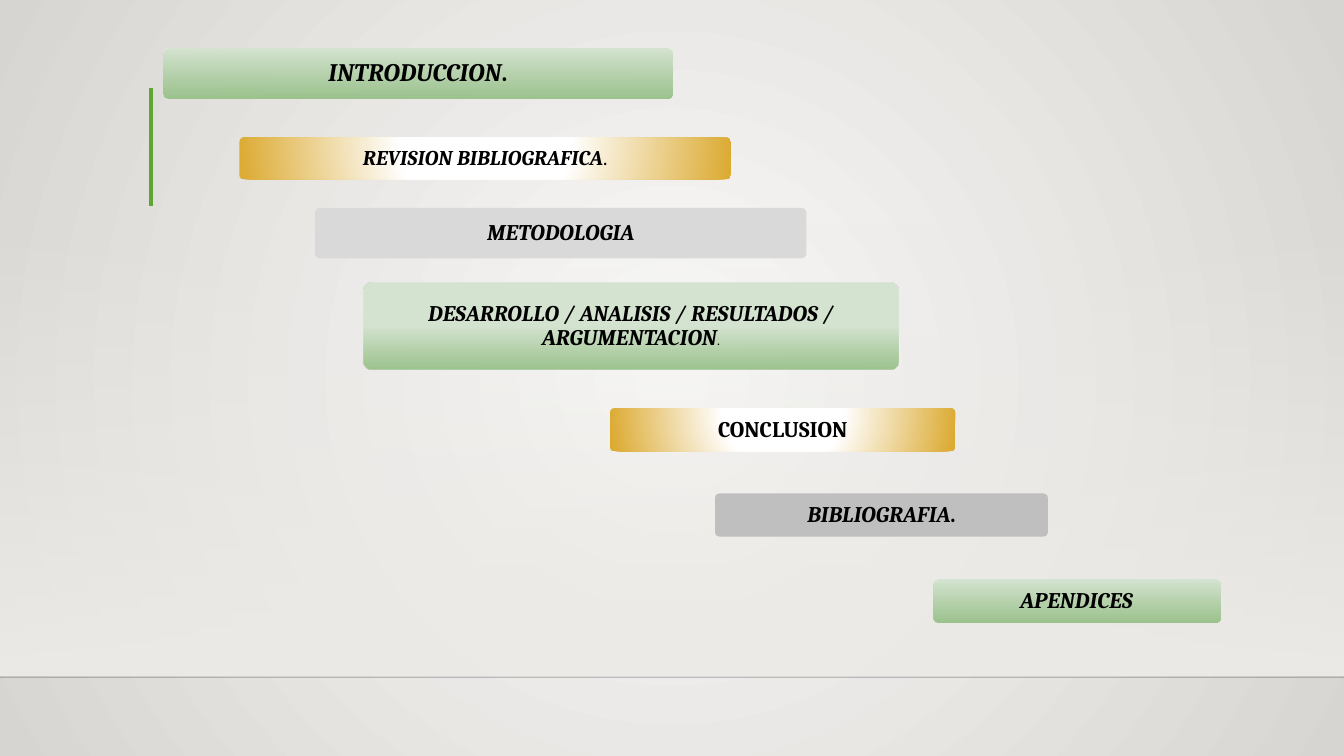
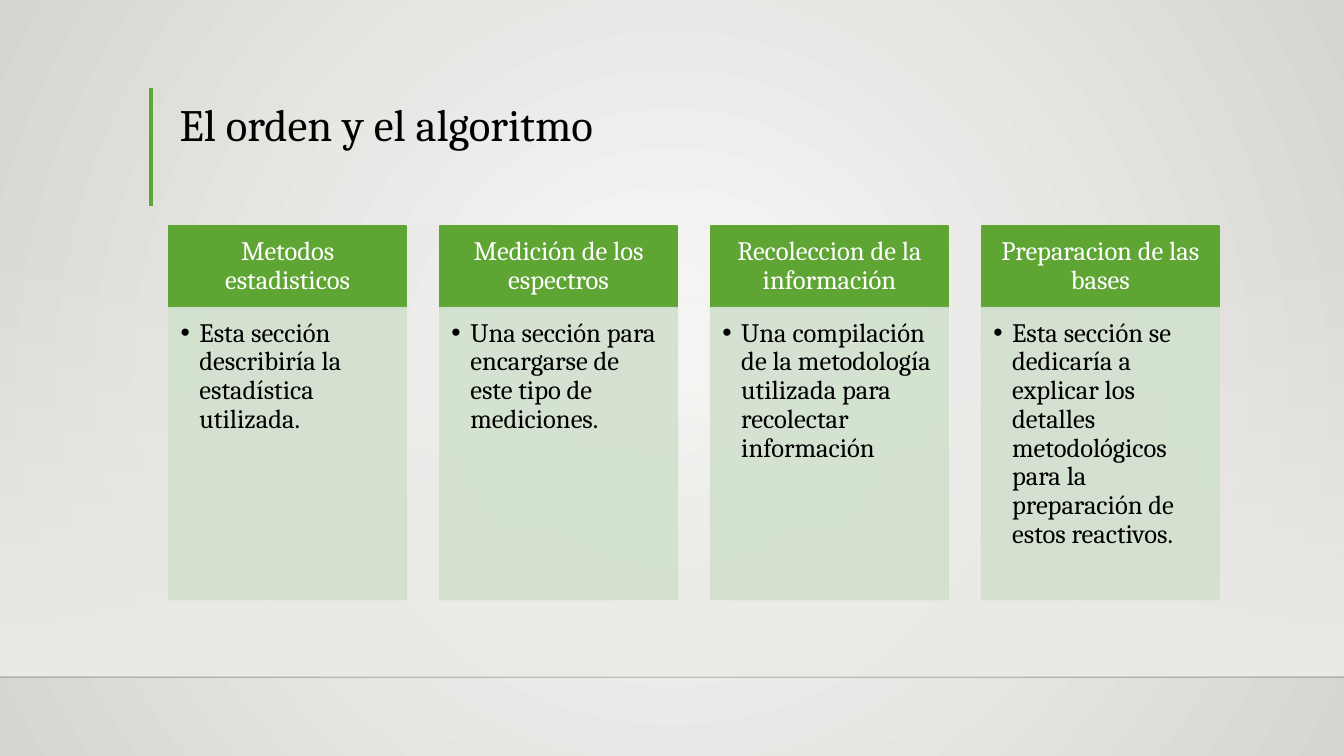
from lxml import etree
from pptx import Presentation
from pptx.dml.color import RGBColor
from pptx.enum.shapes import MSO_CONNECTOR, MSO_SHAPE
from pptx.enum.text import MSO_ANCHOR, MSO_AUTO_SIZE, PP_ALIGN
from pptx.oxml.ns import qn
from pptx.util import Pt

PX = 9525  # EMU per px, slide is 1280 x 720 px
WIDTH, HEIGHT = 1280, 720
FONT = "Cambria"
GREEN, PALE_GREEN, BLACK, WHITE = "5FA534", "D2E1CE", "000000", "FFFFFF"
RECT, ROUNDED = MSO_SHAPE.RECTANGLE, MSO_SHAPE.ROUNDED_RECTANGLE
STRAIGHT = MSO_CONNECTOR.STRAIGHT
TOP, MIDDLE, BOTTOM = MSO_ANCHOR.TOP, MSO_ANCHOR.MIDDLE, MSO_ANCHOR.BOTTOM
LEFT, CENTER = PP_ALIGN.LEFT, PP_ALIGN.CENTER
NO_AUTOFIT = MSO_AUTO_SIZE.NONE

# Gradients: stops as (position %, colour, opacity %), and the focus in %
# as left, top, right, bottom; without a focus they run from top to bottom
BACKDROP = ([(0, "FAFAF9", 100), (100, "D7D5D2", 100)], (50, 50, 50, 50))
FLOOR = ([(0, "EDEBE7", 0), (100, "EDEBE7", 100)], None)
GREEN_FADE = ([(0, "D5E4D1", 100), (100, "96C087", 92)], None)
LATE_GREEN_FADE = ([(50, "D5E4D1", 100), (100, "96C087", 92)], None)
GOLD_ENDS = ([(0, WHITE, 100), (35, WHITE, 100), (100, "DCAB34", 100)],
             (50, -80, 50, 180))

# Left, top, width, height, fill, size, italic, label, (size, bold) of the full stop
SECTIONS = [
    (156, 46, 484, 48, GREEN_FADE, 18, True, "INTRODUCCION", (18, True)),
    (228, 131, 468, 40, GOLD_ENDS, 15, True, "REVISION BIBLIOGRAFICA", (15, False)),
    (300, 198, 468, 48, "D9D9D9", 16, True, "METODOLOGIA", None),
    (346, 269, 510, 83, LATE_GREEN_FADE, 16, True,
     "DESARROLLO / ANALISIS / RESULTADOS / ARGUMENTACION", (10, False)),
    (581, 389, 329, 41, GOLD_ENDS, 16, False, "CONCLUSION", None),
    (681, 470, 317, 41, "BFBFBF", 16, True, "BIBLIOGRAFIA", (16, True)),
    (889, 552, 273, 41, GREEN_FADE, 16, True, "APENDICES", None),
]
METHODS = [
    ("Metodos estadisticos", "Esta sección describiría la estadística utilizada."),
    ("Medición de los espectros",
     "Una sección para encargarse de este tipo de mediciones."),
    ("Recoleccion de la información",
     "Una compilación de la metodología utilizada para recolectar información"),
    ("Preparacion de las bases",
     "Esta sección se dedicaría a explicar los detalles metodológicos para la "
     "preparación de estos reactivos."),
]


def color(hex_string):
    return RGBColor.from_string(hex_string)


def set_opacity(holder, percent):
    for tint in holder.iter(qn("a:srgbClr")):
        etree.SubElement(tint, qn("a:alpha"), val=str(percent * 1000))


def paint(fill, holder, paint_spec):
    """Fill with a hex colour or with a gradient."""
    fill.solid()
    if isinstance(paint_spec, str):
        fill.fore_color.rgb = color(paint_spec)
        return
    stops, focus = paint_spec
    gradient = etree.Element(qn("a:gradFill"), rotWithShape="1")
    stop_list = etree.SubElement(gradient, qn("a:gsLst"))
    for position, tint, opacity in stops:
        stop = etree.SubElement(stop_list, qn("a:gs"), pos=str(position * 1000))
        etree.SubElement(stop, qn("a:srgbClr"), val=tint)
        if opacity < 100:
            set_opacity(stop, opacity)
    if focus:
        path = etree.SubElement(gradient, qn("a:path"), path="circle")
        edges = {side: str(edge * 1000) for side, edge in zip("ltrb", focus)}
        etree.SubElement(path, qn("a:fillToRect"), **edges)
    else:
        etree.SubElement(gradient, qn("a:lin"), ang="5400000", scaled="0")
    solid = next(holder.iter(qn("a:solidFill")))
    solid.getparent().replace(solid, gradient)


def add_box(slide, kind, box, paint_spec, border=None):
    shape = slide.shapes.add_shape(kind, *(length * PX for length in box))
    shape.shadow.inherit = False
    paint(shape.fill, shape.element.spPr, paint_spec)
    if border:
        shape.line.color.rgb = color(border)
        shape.line.width = Pt(1.25)
    else:
        shape.line.fill.background()
    return shape


def add_rule(slide, start, end, tint, weight):
    rule = slide.shapes.add_connector(STRAIGHT, *(c * PX for c in start + end))
    rule.line.color.rgb = color(tint)
    rule.line.width = Pt(weight)
    etree.SubElement(rule.element.spPr, qn("a:effectLst"))
    return rule


def format_run(run, size, tint, bold=False, italic=False):
    run.font.name = FONT
    run.font.size = Pt(size)
    run.font.color.rgb = color(tint)
    run.font.bold = bold
    run.font.italic = italic


def write(shape, text, size, tint, align, anchor, insets, bold=False, italic=False):
    """Set one paragraph of text and return the paragraph."""
    frame = shape.text_frame
    frame.text = text
    frame.word_wrap = True
    frame.auto_size = NO_AUTOFIT
    frame.vertical_anchor = anchor
    (frame.margin_left, frame.margin_top,
     frame.margin_right, frame.margin_bottom) = (inset * PX for inset in insets)
    paragraph = frame.paragraphs[0]
    paragraph.alignment = align
    paragraph.line_spacing = 0.9
    format_run(paragraph.runs[0], size, tint, bold, italic)
    return paragraph


def add_bullet(paragraph, indent):
    properties = paragraph._p.get_or_add_pPr()
    properties.set("marL", str(indent * PX))
    properties.set("indent", str(-indent * PX))
    etree.SubElement(properties, qn("a:buFont"), typeface="Arial")
    etree.SubElement(properties, qn("a:buChar"), char="•")


def decorate_master(master, slide):
    """Draw the shared decoration on a slide, then move it to the master."""
    paint(master.background.fill, master.element, BACKDROP)
    floor = add_box(slide, RECT, (0, 211, WIDTH, 432), FLOOR)
    horizon = add_rule(slide, (0, 645), (WIDTH, 645), "000001", 1)
    set_opacity(horizon.element.spPr, 20)
    accent = add_rule(slide, (144, 84), (144, 196), GREEN, 3)
    for number, part in enumerate((floor, horizon, accent), start=101):
        next(part.element.iter(qn("p:cNvPr"))).set("id", str(number))
        master.shapes.element.append(part.element)


def add_section_bar(slide, box, paint_spec, size, italic, label, full_stop):
    bar = add_box(slide, ROUNDED, box, paint_spec)
    bar.adjustments[0] = 0.1
    paragraph = write(bar, label, size, BLACK, CENTER, MIDDLE, (7, 7, 7, 7),
                      bold=True, italic=italic)
    if full_stop:
        stop_size, stop_bold = full_stop
        stop = paragraph.add_run()
        stop.text = "."
        format_run(stop, stop_size, BLACK, bold=stop_bold)


def add_title(slide, box, text):
    title = slide.shapes.title
    title.left, title.top, title.width, title.height = (c * PX for c in box)
    write(title, text, 32, BLACK, LEFT, BOTTOM, (10, 5, 10, 51))


def add_method_column(slide, box, heading, description):
    left, top, width, height = box
    head_height = 78
    # Heading
    head = add_box(slide, RECT, (left, top, width, head_height), GREEN, GREEN)
    write(head, heading, 19, WHITE, CENTER, MIDDLE, (14, 8, 14, 8))
    # Description
    body = add_box(slide, RECT,
                   (left, top + head_height, width, height - head_height),
                   PALE_GREEN, PALE_GREEN)
    set_opacity(body.element.spPr, 90)
    paragraph = write(body, description, 19, BLACK, LEFT, TOP, (11, 11, 14, 16))
    add_bullet(paragraph, 18)


def add_method_columns(slide, box, methods, gap=32):
    left, top, width, height = box
    column_width = (width + gap) // len(methods) - gap
    for index, (heading, description) in enumerate(methods):
        column_left = left + index * (column_width + gap)
        add_method_column(slide, (column_left, top, column_width, height),
                          heading, description)


def main():
    prs = Presentation()
    prs.slide_width, prs.slide_height = WIDTH * PX, HEIGHT * PX
    title_only, blank = prs.slide_layouts[5], prs.slide_layouts[6]

    # Staircase of document sections
    outline = prs.slides.add_slide(blank)
    decorate_master(prs.slide_master, outline)
    for left, top, width, height, *content in SECTIONS:
        add_section_bar(outline, (left, top, width, height), *content)

    # Columns of methods
    order = prs.slides.add_slide(title_only)
    add_title(order, (161, 84, 1000, 111), "El orden y el algoritmo")
    add_method_columns(order, (161, 215, 1000, 356), METHODS)

    prs.save("out.pptx")


if __name__ == "__main__":
    main()
